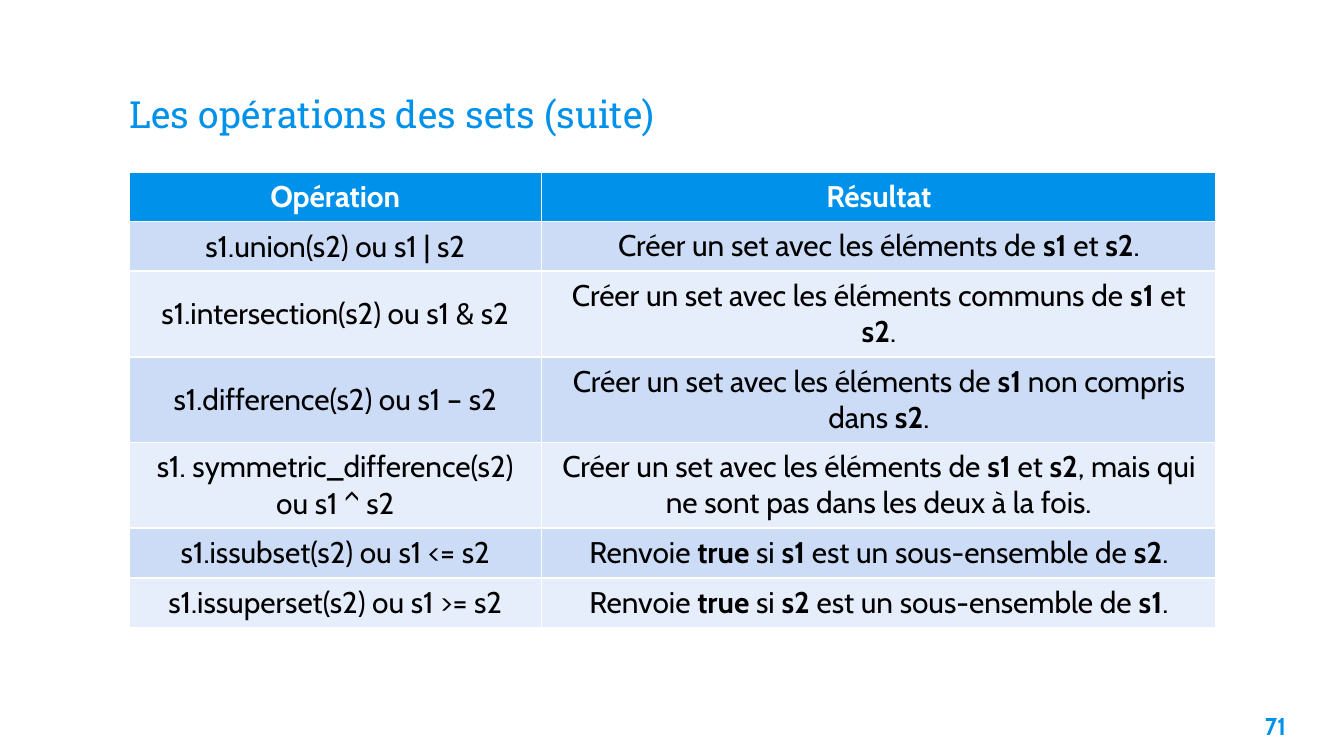
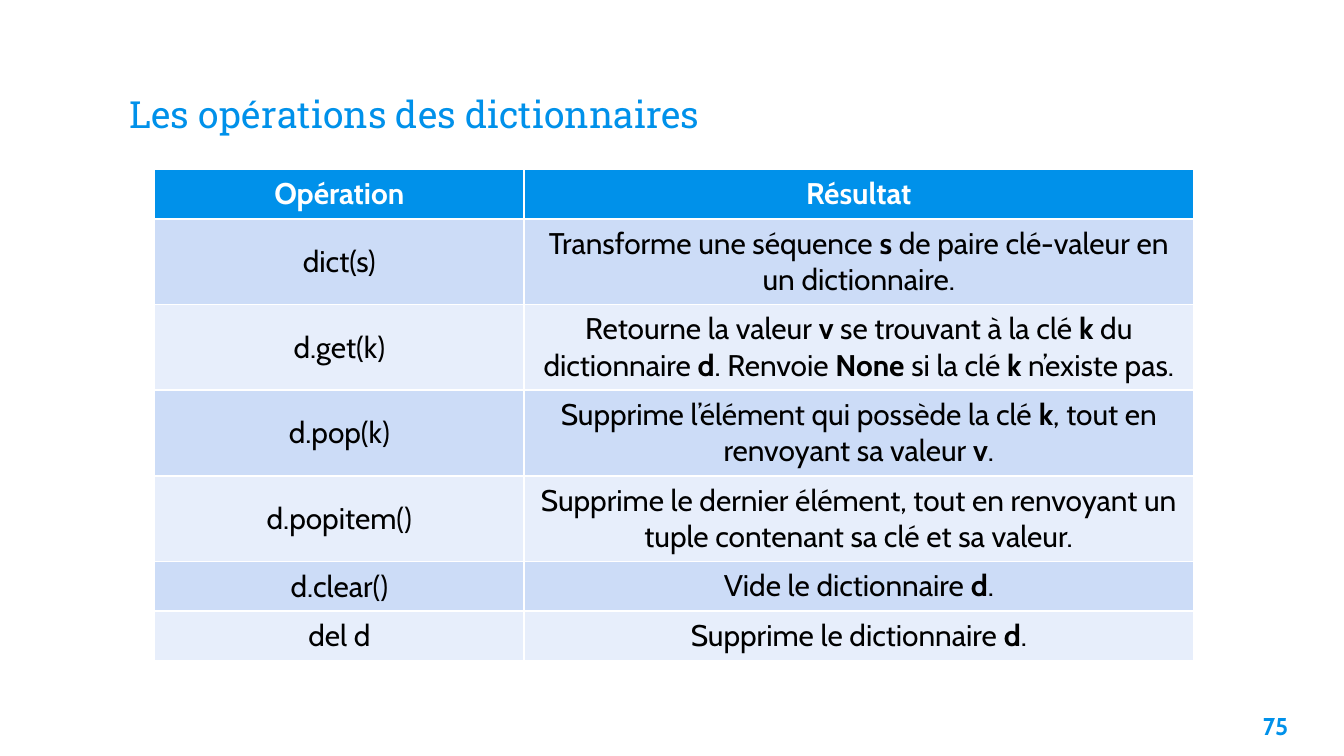
import pptx
import pptx.dml.color
import pptx.enum.text
import pptx.util
from pptx.util import Inches

BLUE, WHITE, BLACK = "0091EA", "FFFFFF", "000000"
BANDS = ("CCDCF7", "E7EEFB")
TITLE_FONT, BODY_FONT = "Roboto Slab", "Cabin"
TITLE_BOX = (0.86, 0.34, 8.28, 0.77)
NUMBER_BOX = (9.19, 5.19, 0.6, 0.43)
ROW_HEIGHT = 0.33
HEADER = ("Opération", "Résultat")
ALIGN = pptx.enum.text.PP_ALIGN
ANCHOR = pptx.enum.text.MSO_ANCHOR

# Words between double asterisks are bold.
SET_ROWS = [
    ("s1.union(s2) ou s1 | s2",
     "Créer un set avec les éléments de **s1** et **s2**."),
    ("s1.intersection(s2) ou s1 & s2",
     "Créer un set avec les éléments communs de **s1** et **s2**."),
    ("s1.difference(s2) ou s1 – s2",
     "Créer un set avec les éléments de **s1** non compris dans **s2**."),
    ("s1. symmetric_difference(s2)\nou s1 ^ s2",
     "Créer un set avec les éléments de **s1** et **s2**, "
     "mais qui ne sont pas dans les deux à la fois."),
    ("s1.issubset(s2) ou s1 <= s2",
     "Renvoie **true** si **s1** est un sous-ensemble de **s2**."),
    ("s1.issuperset(s2) ou s1 >= s2",
     "Renvoie **true** si **s2** est un sous-ensemble de **s1**."),
]
DICT_ROWS = [
    ("dict(s)",
     "Transforme une séquence **s** de paire clé-valeur en un dictionnaire."),
    ("d.get(k)",
     "Retourne la valeur **v** se trouvant à la clé **k** du dictionnaire **d**. "
     "Renvoie **None** si la clé **k** n’existe pas."),
    ("d.pop(k)",
     "Supprime l’élément qui possède la clé **k**, "
     "tout en renvoyant sa valeur **v**."),
    ("d.popitem()",
     "Supprime le dernier élément, tout en renvoyant un tuple "
     "contenant sa clé et sa valeur."),
    ("d.clear()", "Vide le dictionnaire **d**."),
    ("del d", "Supprime le dictionnaire **d**."),
]


def rgb(color):
    return pptx.dml.color.RGBColor.from_string(color)


def style_run(r, size, color, bold=False, font=BODY_FONT):
    r.font.size = pptx.util.Pt(size)
    r.font.color.rgb = rgb(color)
    r.font.bold = bold
    r.font.name = font


def set_frame(tf, anchor):
    tf.word_wrap = True
    tf.auto_size = pptx.enum.text.MSO_AUTO_SIZE.NONE
    tf.vertical_anchor = anchor
    tf.margin_left = tf.margin_right = Inches(0.1)
    tf.margin_top = tf.margin_bottom = Inches(0.1)


def add_title(s, text, box):
    sp = s.shapes.title
    sp.left, sp.top, sp.width, sp.height = map(Inches, box)
    tf = sp.text_frame
    set_frame(tf, ANCHOR.BOTTOM)
    tf.text = text
    p = tf.paragraphs[0]
    p.alignment = ALIGN.LEFT
    style_run(p.runs[0], 20, BLUE, font=TITLE_FONT)


def add_number(s, number, box):
    tf = s.shapes.add_textbox(*map(Inches, box)).text_frame
    set_frame(tf, ANCHOR.TOP)
    tf.text = str(number)
    p = tf.paragraphs[0]
    p.alignment = ALIGN.CENTER
    p.space_after = pptx.util.Pt(6)
    style_run(p.runs[0], 13, BLUE, bold=True)


def fill_cell(cell, text, fill, color, anchor, header):
    cell.fill.solid()
    cell.fill.fore_color.rgb = rgb(fill)
    cell.vertical_anchor = anchor
    tf = cell.text_frame
    tf.text = text.replace("**", "") if header else ""
    for i, line in enumerate(text.split("\n")):
        p = tf.add_paragraph() if i else tf.paragraphs[0]
        p.alignment = ALIGN.CENTER
        if header:
            style_run(p.runs[0], 16, color, bold=True)
            continue
        for j, part in enumerate(line.split("**")):
            r = p.add_run()
            r.text = part
            style_run(r, 16, color, bold=j % 2 == 1)


def add_operations(s, rows, box, first_width):
    """Add the two-column table; its rows grow with their text."""
    rows = [HEADER] + rows
    frame = s.shapes.add_table(len(rows), 2, *map(Inches, box))
    table = frame.table
    table.columns[0].width = Inches(first_width)
    table.columns[1].width = Inches(box[2] - first_width)
    for i, row in enumerate(rows):
        table.rows[i].height = Inches(ROW_HEIGHT)
        header = i == 0
        fill = BLUE if header else BANDS[(i - 1) % 2]
        color = WHITE if header else BLACK
        for j, text in enumerate(row):
            anchor = ANCHOR.TOP if header or j else ANCHOR.MIDDLE
            fill_cell(table.cell(i, j), text, fill, color, anchor, header)
    frame.height = Inches(box[3])


def add_operations_slide(prs, title, number, rows, box, first_width):
    s = prs.slides.add_slide(prs.slide_layouts[5])
    s.background.fill.solid()
    s.background.fill.fore_color.rgb = rgb(WHITE)
    add_title(s, title, TITLE_BOX)
    add_number(s, number, NUMBER_BOX)
    add_operations(s, rows, box, first_width)


def main():
    prs = pptx.Presentation()
    prs.slide_width = Inches(10)
    prs.slide_height = prs.slide_width * 9 // 16
    add_operations_slide(prs, "Les opérations des sets (suite)", 71,
                         SET_ROWS, (0.96, 1.28, 8.09, 3.37), 3.07)
    add_operations_slide(prs, "Les opérations des dictionnaires", 75,
                         DICT_ROWS, (1.15, 1.26, 7.73, 3.63), 2.75)
    prs.save("out.pptx")


if __name__ == "__main__":
    main()
